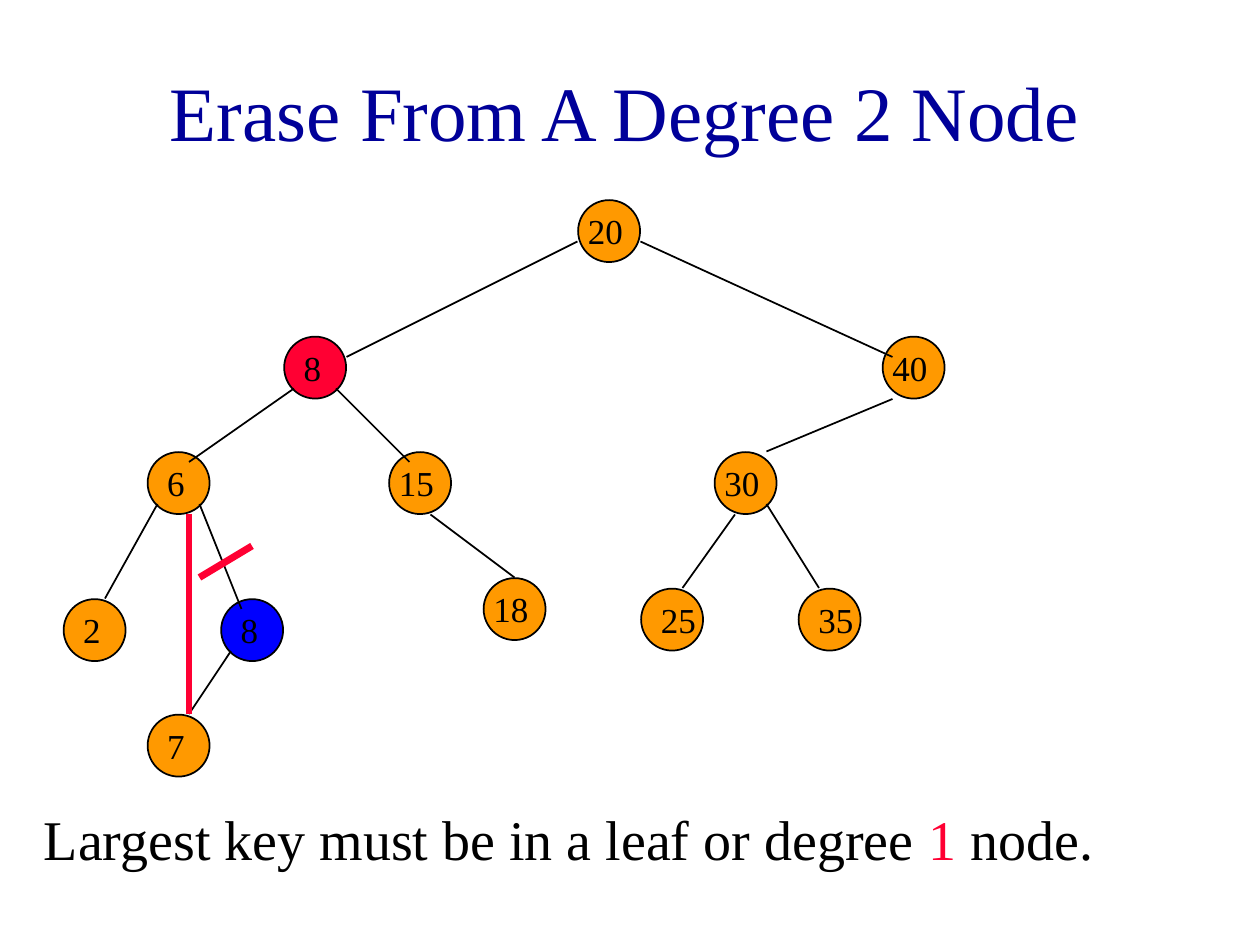
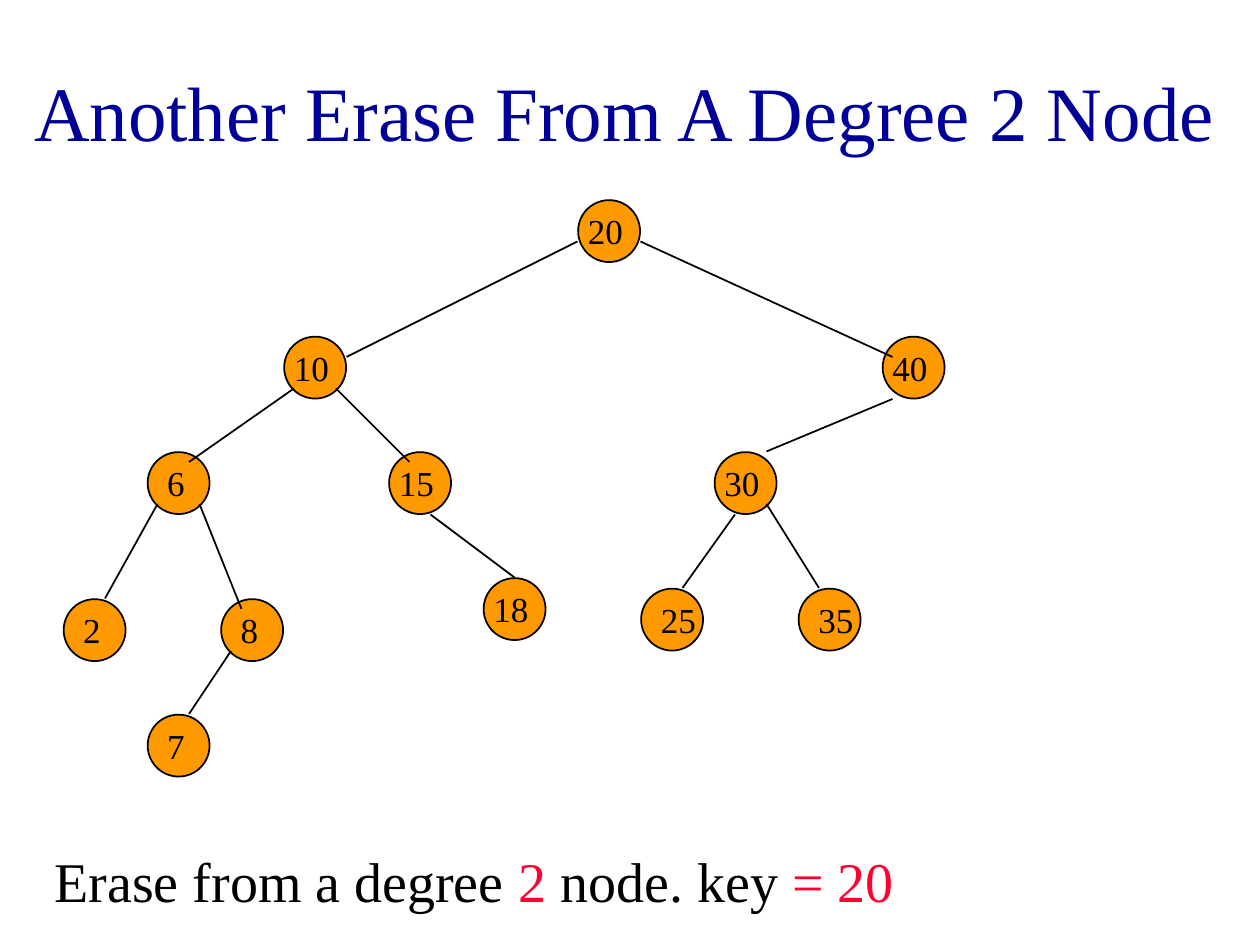
from lxml.etree import SubElement
from pptx import Presentation
from pptx.dml.color import RGBColor
from pptx.enum.shapes import MSO_CONNECTOR, MSO_SHAPE
from pptx.enum.text import MSO_ANCHOR, MSO_AUTO_SIZE, PP_ALIGN
from pptx.oxml.ns import qn
from pptx.util import Inches, Pt

FONT = "Times New Roman"
BLACK = "000000"
NAVY = "000099"
BLUE = "0000FF"
RED = "FF0033"
ORANGE = "FF9900"

WIDE, HIGH = Inches(10), Inches(7.5)
COLS, ROWS = 120, 90
DISC = 5.9
INSET = 0.06

NODES = {
    "root": ("20", 55, 19),
    "left": ("10", 27, 32),
    "right": ("40", 84, 32),
    "six": ("6", 14, 43),
    "fifteen": ("15", 37, 43),
    "thirty": ("30", 68, 43),
    "two": ("2", 6, 57),
    "eight": ("8", 21, 57),
    "eighteen": ("18", 46, 55),
    "low": ("25", 61, 56),
    "high": ("35", 76, 56),
    "seven": ("7", 14, 68),
}
EDGES = [
    (55, 23, 33, 34), (61, 23, 85, 34),
    (28, 37, 18, 44), (32, 37, 39, 44), (85, 38, 73, 43),
    (15, 48, 10, 57), (19, 48, 23, 58), (41, 49, 49, 55),
    (70, 49, 65, 56), (73, 48, 78, 56), (22, 62, 18, 68),
]


def color(code):
    return RGBColor.from_string(code)


def grid(col, row):
    return round(WIDE * col / COLS), round(HIGH * row / ROWS)


def add_run(para, text, size, code):
    run = para.add_run()
    run.text = text
    run.font.name = FONT
    run.font.size = Pt(size)
    run.font.color.rgb = color(code)


def add_title(page, text):
    shape = page.shapes.title
    shape.left, shape.top = grid(1, 3)
    shape.width, shape.height = grid(117, 15)
    frame = shape.text_frame
    frame.auto_size = MSO_AUTO_SIZE.NONE
    frame.vertical_anchor = MSO_ANCHOR.MIDDLE
    para = frame.paragraphs[0]
    para.alignment = PP_ALIGN.CENTER
    add_run(para, text, 44, NAVY)


def add_text(shapes, col, row, width, height, parts, size, wrap):
    box = shapes.add_textbox(*grid(col, row), *grid(width, height))
    frame = box.text_frame
    frame.word_wrap = wrap
    frame.auto_size = MSO_AUTO_SIZE.SHAPE_TO_FIT_TEXT
    para = frame.paragraphs[0]
    for text, code in parts:
        add_run(para, text, size, code)
    return para


def add_note(page, col, row, parts):
    para = add_text(page.shapes, col, row, 108, 7.6, parts, 32, True)
    para.space_before = Pt(20)


def add_node(shapes, col, row, fill):
    disc = shapes.add_shape(MSO_SHAPE.OVAL, *grid(col + INSET, row + INSET), *grid(DISC, DISC))
    disc.shadow.inherit = False
    disc.fill.solid()
    disc.fill.fore_color.rgb = color(fill)
    disc.line.color.rgb = color(BLACK)
    disc.line.width = Pt(1)


def add_label(shapes, name, key, col, row):
    single = len(key) == 1
    shift = 0.75 if single or name in ("low", "high") else -0.2
    width = 4.1 if single else 5.75
    add_text(shapes, col + shift, row + 0.4, width, 5.2, [(key, BLACK)], 20, False)


def add_edge(shapes, ends, code=BLACK, weight=1):
    line = shapes.add_connector(MSO_CONNECTOR.STRAIGHT, *grid(*ends[:2]), *grid(*ends[2:]))
    line.line.color.rgb = color(code)
    line.line.width = Pt(weight)
    SubElement(line._element.spPr, qn("a:effectLst"))


def add_tree(shapes, keys={}, fills={}):
    for name, (key, col, row) in NODES.items():
        add_node(shapes, col, row, fills.get(name, ORANGE))
    for ends in EDGES:
        add_edge(shapes, ends)
    for name, (key, col, row) in NODES.items():
        add_label(shapes, name, keys.get(name, key), col, row)


def add_page(deck, title):
    page = deck.slides.add_slide(deck.slide_layouts[5])
    add_title(page, title)
    return page


def main():
    deck = Presentation()
    deck.slide_width, deck.slide_height = WIDE, HIGH

    page = add_page(deck, "Erase From A Degree 2 Node")
    add_tree(page.shapes, {"left": "8"}, {"left": RED, "eight": BLUE})
    add_note(page, 3, 76, [
        ("Largest key must be in a leaf or degree ", BLACK),
        ("1 ", RED),
        ("node.", BLACK),
    ])
    for ends in [(18, 49, 18, 68), (24, 52, 19, 55)]:
        add_edge(page.shapes, ends, RED, 4)

    page = add_page(deck, "Another Erase From A Degree 2 Node")
    add_note(page, 4, 80, [
        ("Erase from a degree ", BLACK),
        ("2 ", RED),
        ("node. key ", BLACK),
        ("= 20", RED),
    ])
    add_tree(page.shapes.add_group_shape().shapes)

    deck.save("out.pptx")


if __name__ == "__main__":
    main()
